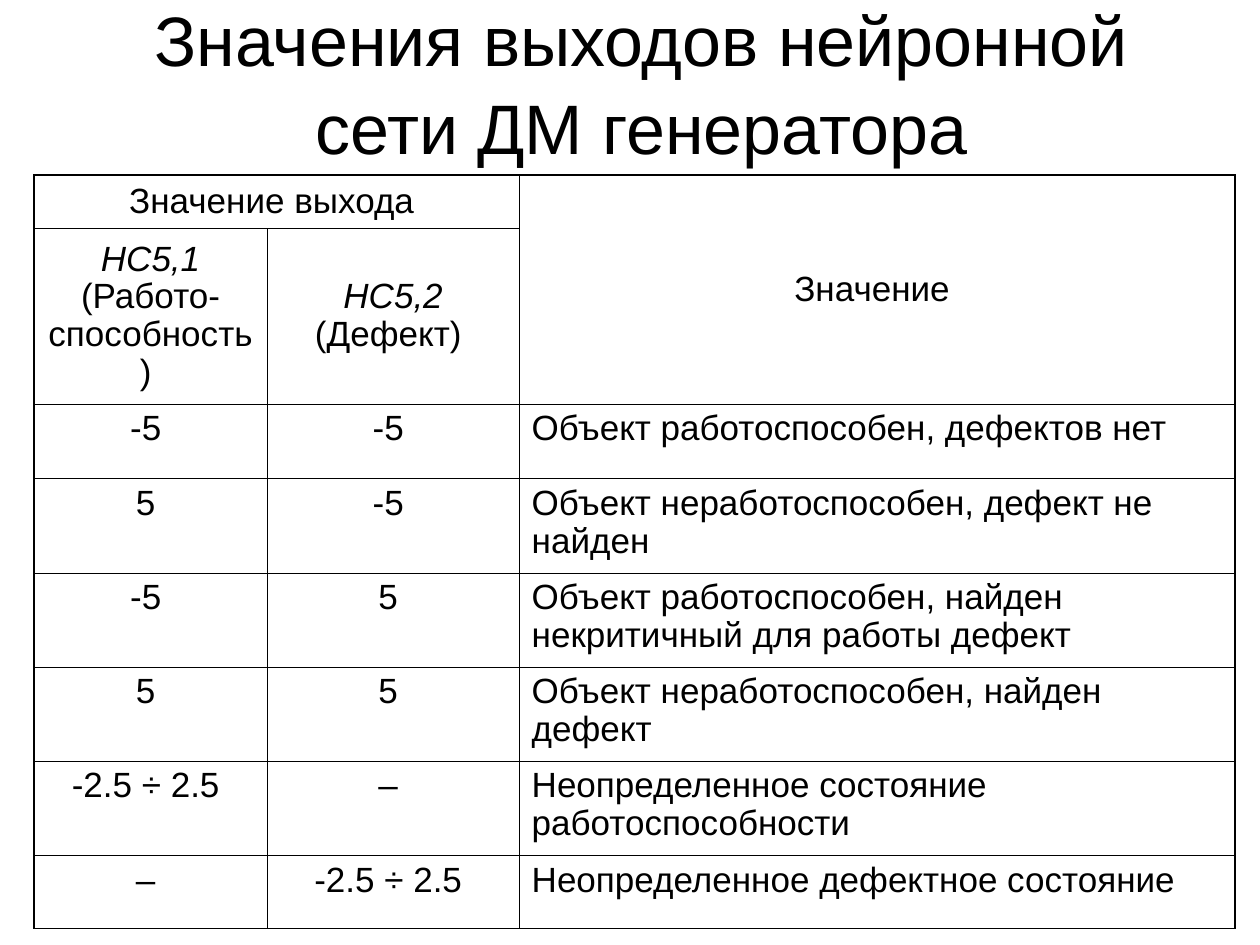
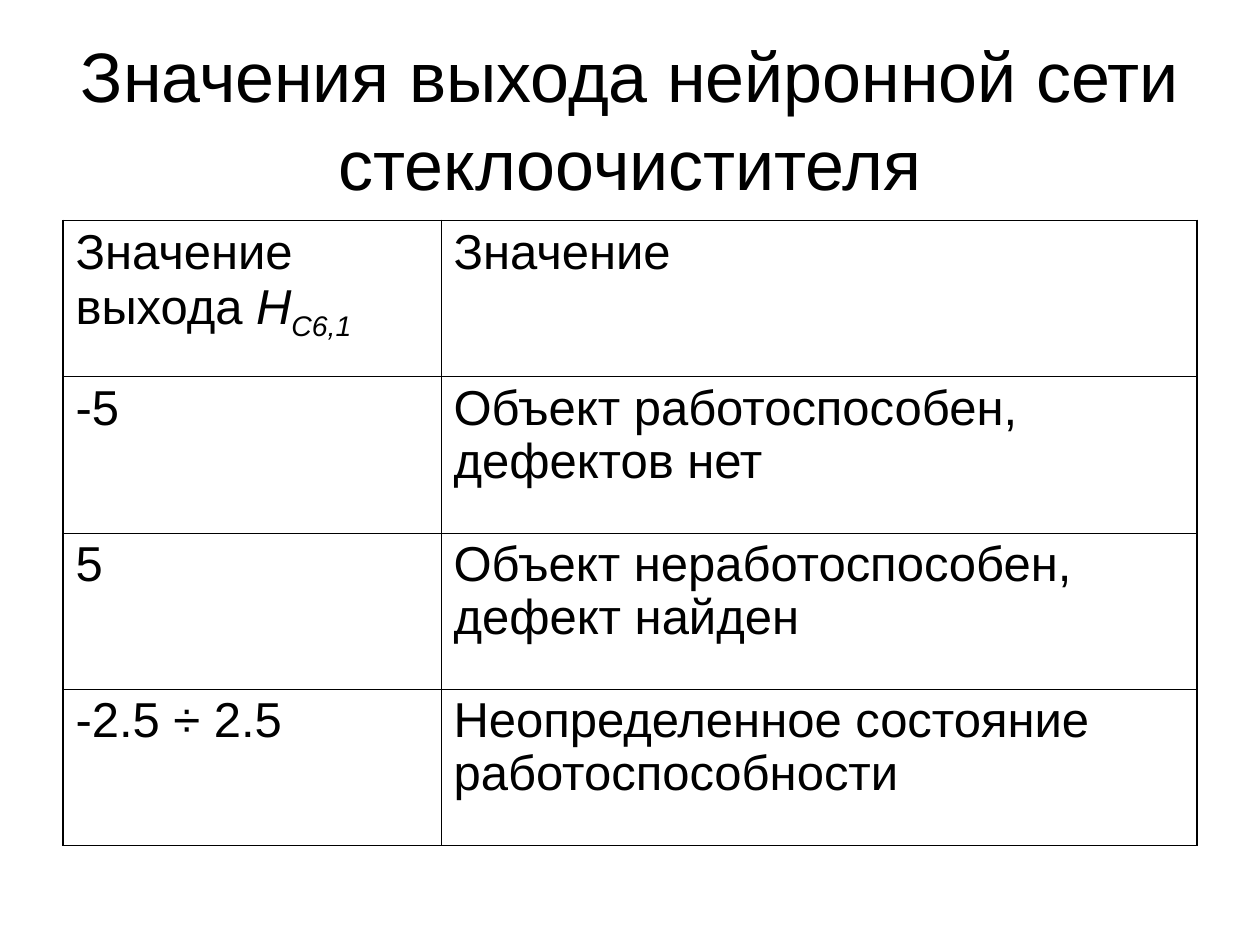
from lxml.etree import SubElement
from pptx import Presentation
from pptx.dml.color import RGBColor
from pptx.enum.text import MSO_ANCHOR, PP_ALIGN
from pptx.oxml.ns import qn
from pptx.util import Inches, Pt

COLORS = {"text": "000000", "line": "000000"}
FONT = "Arial"
THICK, THIN = 1.08, 0.45


def add_runs(para, runs, size):
    """Write (text, style) runs; style holds i for italic, s for subscript."""
    for text, style in runs:
        run = para.add_run()
        run.text = text
        font = run.font
        font.name, font.size = FONT, Pt(size)
        font.italic = "i" in style
        font.color.rgb = RGBColor.from_string(COLORS["text"])
        if "s" in style:
            run._r.get_or_add_rPr().set("baseline", "-25000")


def add_title(slide, text, left, top, width, height):
    """Add a centred slide title."""
    box = slide.shapes.add_textbox(*map(Inches, (left, top, width, height)))
    frame = box.text_frame
    frame.word_wrap = True
    frame.vertical_anchor = MSO_ANCHOR.MIDDLE
    para = frame.paragraphs[0]
    para.alignment = PP_ALIGN.CENTER
    para.line_spacing = 1.05
    add_runs(para, [(text, "")], 40)


def set_edges(cell, outer):
    """Draw four cell borders, thick on the outer sides."""
    props = cell._tc.get_or_add_tcPr()
    for side in "LRTB":
        width = THICK if side in outer else THIN
        line = SubElement(props, qn(f"a:ln{side}"), w=str(Pt(width)))
        fill = SubElement(line, qn("a:solidFill"))
        SubElement(fill, qn("a:srgbClr"), val=COLORS["line"])


def add_grid(slide, left, top, cols, heights, rows, size, gap, mid=0, heads=0):
    """Add a ruled table with mid centred columns and heads centred rows."""
    shape = slide.shapes.add_table(
        len(heights), len(cols), Inches(left), Inches(top),
        Inches(sum(cols)), Inches(sum(heights)))
    table = shape.table
    table.first_row = table.horz_banding = False
    for col, width in zip(table.columns, cols):
        col.width = Inches(width)
    for row, height in zip(table.rows, heights):
        row.height = Inches(height)
    for r, row in enumerate(rows):
        for c, item in enumerate(row):
            cell = table.cell(r, c)
            outer = [side for side, edge in (
                ("L", c == 0), ("R", c == len(cols) - 1),
                ("T", r == 0), ("B", r == len(rows) - 1)) if edge]
            set_edges(cell, outer)
            cell.fill.background()
            if r < heads:
                cell.vertical_anchor = MSO_ANCHOR.MIDDLE
            para = cell.text_frame.paragraphs[0]
            centred = c < mid or r < heads
            para.alignment = PP_ALIGN.CENTER if centred else PP_ALIGN.LEFT
            para.space_before = Pt(gap)
            para.line_spacing = 0.97
            runs = [(item, "")] if isinstance(item, str) else item
            add_runs(para, runs, size)
    return table


def add_motor(slide):
    """Fill the slide on the generator network."""
    add_title(slide, "Значения выходов нейронной сети ДМ генератора",
              0.59, 0.21, 9, 0.85)
    rows = [
        ["Значение выхода ", [], "Значение "],
        [[("НС5,1", "i"), (" (Работо-способность) ", "")],
         [("НС5,2", "i"), (" (Дефект) ", "")], []],
        ["-5 ", "-5 ", "Объект работоспособен, дефектов нет"],
        ["5 ", "-5 ", "Объект неработоспособен, дефект не найден"],
        ["-5 ", "5 ",
         "Объект работоспособен, найден некритичный для работы дефект"],
        ["5 ", "5 ", "Объект неработоспособен, найден дефект"],
        ["-2.5 ÷ 2.5 ", "– ", "Неопределенное состояние работоспособности"],
        ["– ", "-2.5 ÷ 2.5 ", "Неопределенное дефектное состояние"],
    ]
    heights = [0.42, 1.34, 0.59] + [0.73] * 4 + [0.58]
    table = add_grid(slide, 0.27, 1.39, [1.85, 2, 5.68], heights, rows,
                     20, 5, mid=2, heads=2)
    table.cell(0, 0).merge(table.cell(0, 1))
    table.cell(0, 2).merge(table.cell(1, 2))


def add_wiper(slide):
    """Fill the slide on the wiper network."""
    add_title(slide, "Значения выхода нейронной сети стеклоочистителя",
              0.5, 0.3, 9, 1.25)
    rows = [
        [[("Значение выхода ", ""), ("Н", "i"), ("С6,1", "is")], "Значение"],
        ["-5", "Объект работоспособен, дефектов нет"],
        ["5", "Объект неработоспособен, дефект найден"],
        ["-2.5 ÷ 2.5", "Неопределенное состояние работоспособности"],
    ]
    add_grid(slide, 0.5, 1.75, [3, 6], [1.24] * 4, rows, 28, 7)


def main():
    """Build and save both slides."""
    deck = Presentation()
    deck.slide_width, deck.slide_height = Inches(10), Inches(7.5)
    for fill in (add_motor, add_wiper):
        fill(deck.slides.add_slide(deck.slide_layouts[6]))
    deck.save("out.pptx")


if __name__ == "__main__":
    main()
